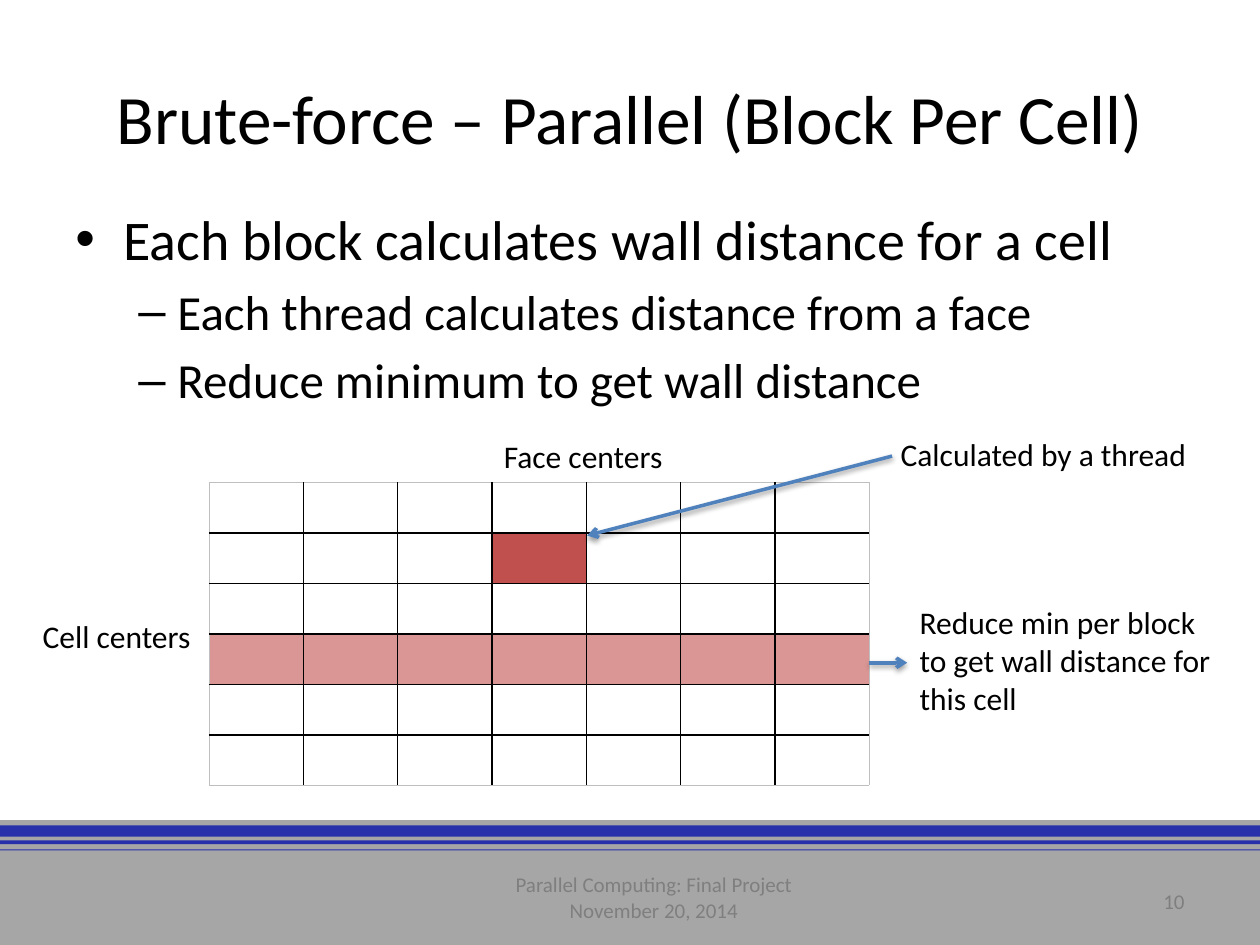
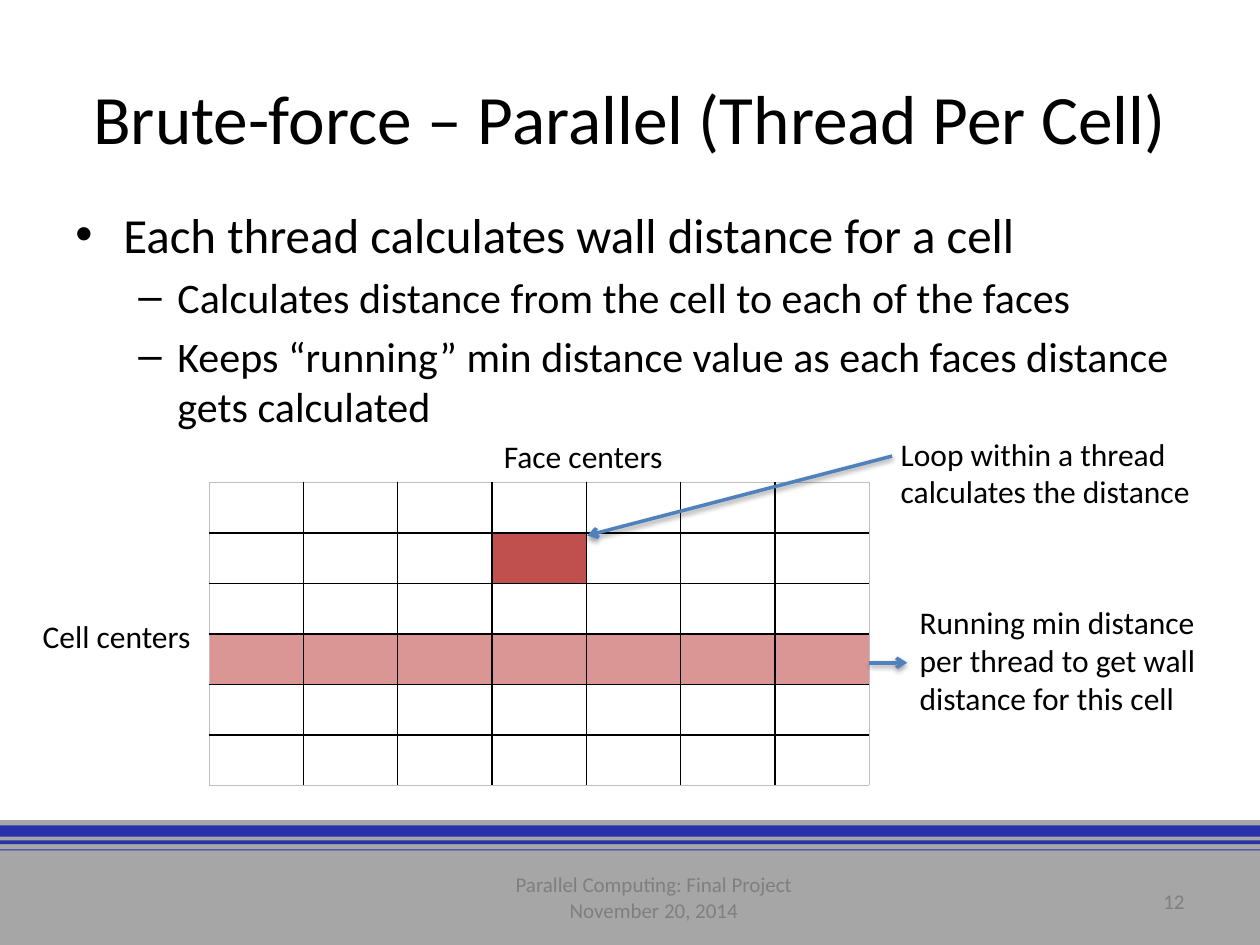
from dataclasses import dataclass

from lxml.etree import SubElement
from pptx import Presentation
from pptx.dml.color import RGBColor as RGB
from pptx.enum.shapes import MSO_CONNECTOR as Connector, MSO_SHAPE as Shape
from pptx.enum.text import MSO_ANCHOR as Anchor, PP_ALIGN as Align
from pptx.oxml.ns import qn
from pptx.util import Inches, Pt


@dataclass(frozen=True)
class Theme:
    """Colours, font and type sizes shared by all slides."""
    font: str = "Calibri"
    ink: str = "000000"
    muted: str = "7F7F7F"
    footer: str = "A6A6A6"
    stripe: str = "2831AA"
    arrow: str = "4F81BD"
    thread: str = "C0504D"
    block: str = "D99694"
    table_edge: str = "BFBFBF"
    title_size: float = 39.6
    label_size: float = 18
    footer_size: float = 12


THEME = Theme()
WIDTH, HEIGHT = 10, 7.5
FOOTER_TOP = 6.51
STRIPES = ((6.55, 0.09), (6.67, 0.03), (6.74, 0.01))
ROWS, COLUMNS = 6, 7
THREAD_CELL = (1, 3)
BLOCK_ROW = 3
FOOTER_LINES = ("Parallel Computing: Final Project", "November 20, 2014")
BULLETS = (("\u2022", 0.38, 0.38), ("\u2013", 0.81, 0.31))

SLIDES = (
    dict(
        number="10",
        title="Brute-force \u2013 Parallel (Block Per Cell)",
        sizes=(32, 28),
        points=((0, "Each block calculates wall distance for a cell"),
                (1, "Each thread calculates distance from a face"),
                (1, "Reduce minimum to get wall distance")),
        thread_note="Calculated by a thread",
        row_note="Reduce min per block to get wall distance for this cell",
    ),
    dict(
        number="12",
        title="Brute-force \u2013 Parallel (Thread Per Cell)",
        sizes=(28, 24),
        points=((0, "Each thread calculates wall distance for a cell"),
                (1, "Calculates distance from the cell to each of the faces"),
                (1, "Keeps \u201crunning\u201d min distance value as each faces "
                    "distance gets calculated")),
        thread_note="Loop within a thread calculates the distance",
        row_note="Running min distance per thread to get wall distance "
                 "for this cell",
    ),
)


def add_run(paragraph, text, size, color=THEME.ink):
    """Append one run in the theme font."""
    run = paragraph.add_run()
    run.text = text
    run.font.name = THEME.font
    run.font.size = Pt(size)
    run.font.color.rgb = RGB.from_string(color)


def add_frame(slide, box, anchor=Anchor.TOP, wrap=True):
    """Add an empty text box and return its text frame."""
    frame = slide.shapes.add_textbox(*map(Inches, box)).text_frame
    frame.word_wrap = wrap
    frame.vertical_anchor = anchor
    return frame


def add_text(slide, box, lines, size=THEME.label_size, color=THEME.ink,
             align=Align.LEFT, anchor=Anchor.TOP, wrap=True):
    """Add a text box with one paragraph per line."""
    frame = add_frame(slide, box, anchor, wrap)
    for index, line in enumerate(lines):
        paragraph = frame.add_paragraph() if index else frame.paragraphs[0]
        paragraph.alignment = align
        add_run(paragraph, line, size, color)


def add_points(slide, points, sizes):
    """Add the two-level bullet list."""
    frame = add_frame(slide, (0.5, 1.57, 9.31, 3.29))
    for index, (level, text) in enumerate(points):
        paragraph = frame.add_paragraph() if index else frame.paragraphs[0]
        mark, margin, hanging = BULLETS[level]
        paragraph.level = level
        paragraph.space_before = Pt(0.2 * sizes[level])
        properties = paragraph._p.get_or_add_pPr()
        properties.set("marL", str(Inches(margin)))
        properties.set("indent", str(-Inches(hanging)))
        SubElement(properties, qn("a:buFont"), typeface="Arial")
        SubElement(properties, qn("a:buChar"), char=mark)
        add_run(paragraph, text, sizes[level])


def add_band(slide, top, height, color):
    """Add a full-width horizontal band."""
    band = slide.shapes.add_shape(Shape.RECTANGLE, 0, Inches(top),
                                  Inches(WIDTH), Inches(height))
    band.shadow.inherit = False
    band.fill.solid()
    band.fill.fore_color.rgb = RGB.from_string(color)
    band.line.fill.background()


def add_footer(slide, number):
    """Add the striped footer with its caption and slide number."""
    add_band(slide, FOOTER_TOP, HEIGHT - FOOTER_TOP, THEME.footer)
    for top, height in STRIPES:
        add_band(slide, top, height, THEME.stripe)
    style = dict(size=THEME.footer_size, color=THEME.muted, anchor=Anchor.MIDDLE)
    add_text(slide, (7.17, 6.95, 2.33, 0.4), [number], align=Align.RIGHT, **style)
    add_text(slide, (3.21, 6.92, 3.96, 0.4), FOOTER_LINES,
             align=Align.CENTER, **style)


def add_border(cell, side, color, points):
    """Draw one side of a table cell."""
    line = SubElement(cell._tc.get_or_add_tcPr(), qn(f"a:ln{side}"),
                      w=str(Pt(points)))
    SubElement(SubElement(line, qn("a:solidFill")), qn("a:srgbClr"), val=color)


def add_distance_table(slide):
    """Add the cell-by-face grid with its highlighted thread and block."""
    table = slide.shapes.add_table(
        ROWS, COLUMNS, *map(Inches, (1.66, 3.83, 5.24, 2.4))).table
    table.first_row = table.horz_banding = False
    for row in range(ROWS):
        for column in range(COLUMNS):
            cell = table.cell(row, column)
            outer = dict(L=column == 0, R=column == COLUMNS - 1,
                         T=row == 0, B=row == ROWS - 1)
            for side, at_edge in outer.items():
                add_border(cell, side, *((THEME.table_edge, 0.25) if at_edge
                                         else (THEME.ink, 1)))
            if (row, column) == THREAD_CELL or row == BLOCK_ROW:
                cell.fill.solid()
                cell.fill.fore_color.rgb = RGB.from_string(
                    THEME.block if row == BLOCK_ROW else THEME.thread)
            else:
                cell.fill.background()


def add_arrow(slide, start, end):
    """Add an arrow with a soft shadow below it."""
    arrow = slide.shapes.add_connector(Connector.STRAIGHT,
                                       *map(Inches, start + end))
    arrow.line.color.rgb = RGB.from_string(THEME.arrow)
    arrow.line.width = Pt(2)
    SubElement(arrow.line._get_or_add_ln(), qn("a:tailEnd"), type="arrow")
    effects = SubElement(arrow._element.spPr, qn("a:effectLst"))
    shadow = SubElement(effects, qn("a:outerShdw"), blurRad=str(Pt(3.1)),
                        dist=str(Pt(1.6)), dir="5400000", rotWithShape="0")
    tint = SubElement(shadow, qn("a:srgbClr"), val=THEME.ink)
    SubElement(tint, qn("a:alpha"), val="38000")


def add_diagram(slide, thread_note, row_note):
    """Add the distance table with its labels, notes and arrows."""
    add_distance_table(slide)
    add_text(slide, (3.9, 3.42, 1.47, 0.4), ["Face centers"], wrap=False)
    add_text(slide, (0.24, 4.85, 1.38, 0.4), ["Cell centers"], wrap=False)
    add_arrow(slide, (7.08, 3.62), (4.66, 4.25))
    add_text(slide, (7.05, 3.4, 2.57, 0.71), [thread_note])
    add_arrow(slide, (6.9, 5.26), (7.2, 5.26))
    add_text(slide, (7.2, 4.74, 2.61, 1.01), [row_note])


def main():
    """Build and save the presentation."""
    deck = Presentation()
    deck.slide_width, deck.slide_height = Inches(WIDTH), Inches(HEIGHT)
    for content in SLIDES:
        slide = deck.slides.add_slide(deck.slide_layouts[6])
        add_footer(slide, content["number"])
        add_text(slide, (0.5, 0.3, 9, 1.25), [content["title"]],
                 THEME.title_size, align=Align.CENTER, anchor=Anchor.MIDDLE)
        add_points(slide, content["points"], content["sizes"])
        add_diagram(slide, content["thread_note"], content["row_note"])
    deck.save("out.pptx")


main()
